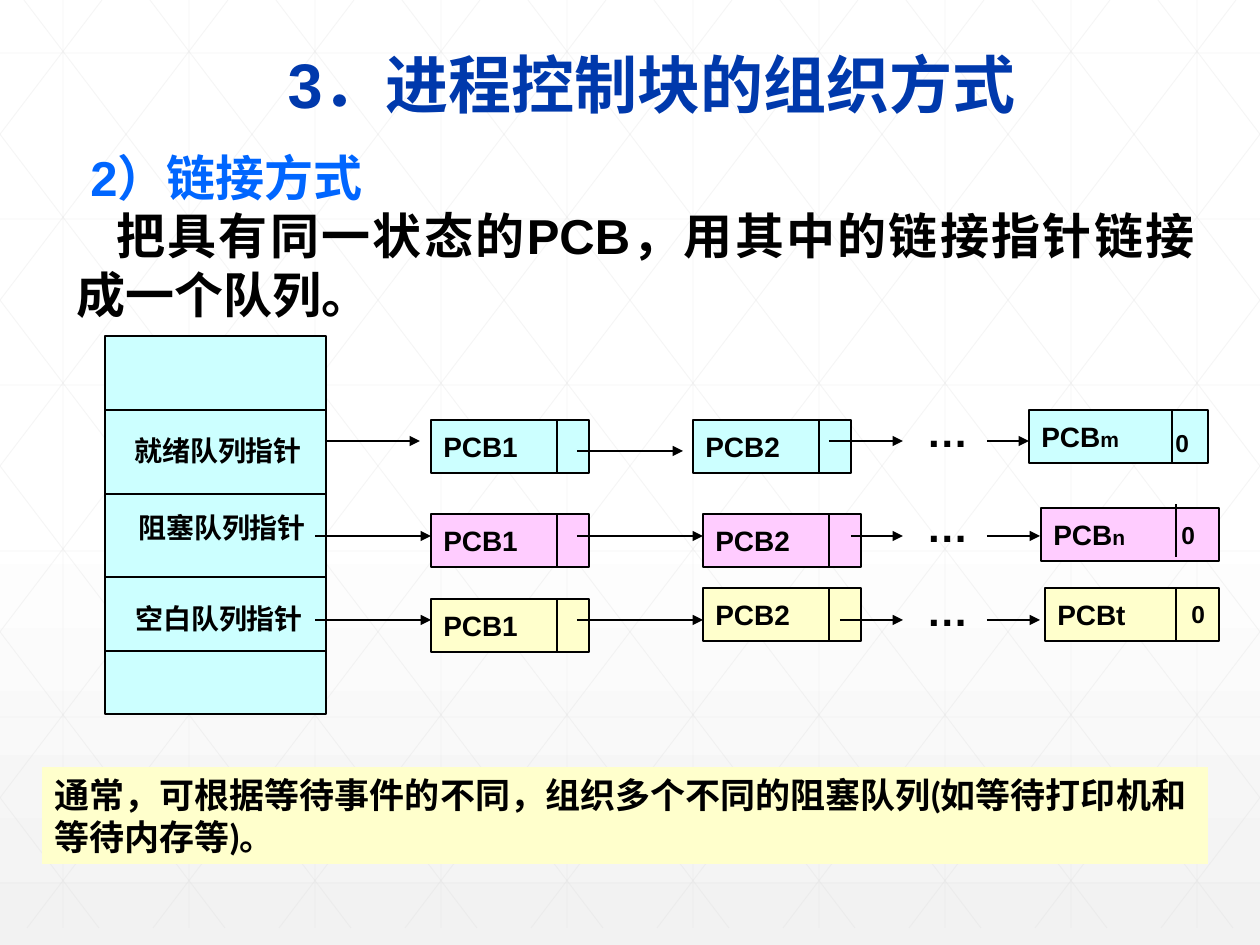
from dataclasses import dataclass

from pptx import Presentation
from pptx.dml.color import RGBColor
from pptx.enum.shapes import MSO_CONNECTOR, MSO_SHAPE
from pptx.enum.text import MSO_ANCHOR, MSO_AUTO_SIZE, PP_ALIGN
from pptx.oxml.ns import qn
from pptx.oxml.xmlchemy import OxmlElement
from pptx.util import Emu, Pt

EMU_PER_PX = 914400 / 126
WIDTH, HEIGHT = 1260, 945


@dataclass(frozen=True)
class Theme:
    white: str = "FFFFFF"
    backdrop: str = "F2F2F2"
    grid: str = "D9D9D9"
    ink: str = "000000"
    title: str = "0039AC"
    heading: str = "0066FF"
    cyan: str = "CCFFFF"
    pink: str = "FFCCFF"
    yellow: str = "FFFFCC"
    font: str = "Arial"
    note_font: str = "Lato"
    title_size: int = 36
    body_size: int = 28
    dots_size: int = 24
    note_size: int = 20
    label_size: int = 16
    zero_size: int = 14
    suffix_size: int = 12
    line: float = 0.75
    grid_line: float = 0.5


THEME = Theme()


@dataclass(frozen=True)
class Queue:
    pointer: str
    pointer_at: tuple
    color: str
    first_at: tuple
    second_at: tuple
    last_box: tuple
    last_suffix: str
    suffix_size: int
    last_divider: tuple
    zero_at: tuple
    arrow_y: int
    second_arrow_y: int
    arrows: tuple  # start and end of each link, left to right


QUEUES = (
    Queue("就绪队列指针", (122, 427), THEME.cyan, (431, 420), (693, 420),
          (1029, 410, 179, 53), "m", THEME.suffix_size, (1172, 410), (1163, 422),
          441, 451, ((325, 420), (577, 683), (829, 903), (987, 1029))),
    Queue("阻塞队列指针", (126, 504), THEME.pink, (431, 514), (703, 514),
          (1041, 508, 178, 53), "n", THEME.suffix_size, (1176, 504), (1169, 514),
          536, 536, ((315, 431), (577, 703), (851, 903), (987, 1040))),
    Queue("空白队列指针", (123, 595), THEME.yellow, (431, 599), (703, 588),
          (1045, 588, 174, 53), "t", THEME.label_size, (1176, 588), (1179, 593),
          620, 620, ((315, 431), (577, 703), (840, 903), (987, 1040))),
)


def px(*lengths):
    return [Emu(round(length * EMU_PER_PX)) for length in lengths]


def rgb(color):
    return RGBColor.from_string(color)


def write(frame, text, size=THEME.label_size, color=THEME.ink, font=THEME.font,
          align=PP_ALIGN.LEFT, indent=0, suffix="", suffix_size=THEME.label_size):
    """Fill the first paragraph of the frame, or add one after it."""
    paragraph = frame.add_paragraph() if frame.text else frame.paragraphs[0]
    paragraph.alignment = align
    if indent:
        paragraph._p.get_or_add_pPr().set("indent", str(px(indent)[0]))
    for part, points in ((text, size), (suffix, suffix_size)):
        if part:
            run = paragraph.add_run()
            run.text = part
            run.font.size = Pt(points)
            run.font.name = font
            run.font.bold = True
            run.font.color.rgb = rgb(color)


def add_label(shapes, box, text, wrap=False, **style):
    label = shapes.add_textbox(*px(*box))
    label.text_frame.word_wrap = wrap
    label.text_frame.auto_size = MSO_AUTO_SIZE.SHAPE_TO_FIT_TEXT
    write(label.text_frame, text, **style)
    return label.text_frame


def add_box(shapes, box, color, outlined=True):
    rect = shapes.add_shape(MSO_SHAPE.RECTANGLE, *px(*box))
    rect.shadow.inherit = False
    rect.fill.solid()
    rect.fill.fore_color.rgb = rgb(color)
    if outlined:
        rect.line.color.rgb = rgb(THEME.ink)
        rect.line.width = Pt(THEME.line)
    else:
        rect.line.fill.background()
    rect.text_frame.word_wrap = not outlined
    return rect.text_frame


def add_line(shapes, start, end, color=THEME.ink, width=THEME.line, arrow=False, opacity=100):
    line = shapes.add_connector(MSO_CONNECTOR.STRAIGHT, *px(*start, *end))
    line.line.color.rgb = rgb(color)
    line.line.width = Pt(width)
    properties = line._element.spPr
    if opacity < 100:
        alpha = OxmlElement("a:alpha")
        alpha.set("val", str(opacity * 1000))
        next(properties.iter(qn("a:srgbClr"))).append(alpha)
    if arrow:
        head = OxmlElement("a:tailEnd")
        head.set("type", "triangle")
        properties.find(qn("a:ln")).append(head)
    properties.append(OxmlElement("a:effectLst"))


def add_background(slide):
    fill = slide.background.fill
    fill.gradient()
    fill.gradient_angle = 270
    for stop, position, color in zip(fill.gradient_stops, (0.53, 1), (THEME.white, THEME.backdrop)):
        stop.position = position
        stop.color.rgb = rgb(color)

    # Triangular grid, kept behind the title
    grid = slide.shapes.add_group_shape()
    slide.shapes._spTree.insert(2, grid._element)
    bottom, run, step = 928, 705, 126
    lines = [((x, 0), (x, bottom)) for x in range(63, WIDTH, step)]
    lines += [((0, 53 + 166 * row), (WIDTH, 53 + 166 * row)) for row in range(6)]
    for top_x in range(24 - 5 * step, WIDTH, step):
        left, right = max(top_x, 0), min(top_x + run, WIDTH)
        y1, y2 = ((x - top_x) * bottom / run for x in (left, right))
        lines.append(((left, y1), (right, y2)))
        lines.append(((WIDTH - left, y1), (WIDTH - right, y2)))
    for start, end in lines:
        add_line(grid.shapes, start, end, THEME.grid, THEME.grid_line, opacity=25)


def add_title(slide, text):
    title = slide.shapes.title
    title.left, title.top, title.width, title.height = px(275, 39, 950, 89)
    title.text_frame.vertical_anchor = MSO_ANCHOR.TOP
    title.text_frame.auto_size = MSO_AUTO_SIZE.NONE
    write(title.text_frame, text, size=THEME.title_size, color=THEME.title)


def add_pcb(shapes, box, divider, color, text, **style):
    write(add_box(shapes, box, color), text, **style)
    x, y = divider
    add_line(shapes, (x, y), (x, y + 53))


def add_pointer_table(shapes):
    add_box(shapes, (105, 336, 221, 378), THEME.cyan)
    for y in (410, 494, 577, 651):
        add_line(shapes, (105, y), (326, y))


def add_queue(shapes, queue):
    add_label(shapes, (*queue.pointer_at, 195, 47), queue.pointer)
    for name, (x, y) in (("PCB1", queue.first_at), ("PCB2", queue.second_at)):
        add_pcb(shapes, (x, y, 158, 53), (x + 126, y), queue.color, name)
    add_pcb(shapes, queue.last_box, queue.last_divider, queue.color, "PCB",
            suffix=queue.last_suffix, suffix_size=queue.suffix_size)
    for index, (start, end) in enumerate(queue.arrows):
        y = queue.second_arrow_y if index == 1 else queue.arrow_y
        add_line(shapes, (start, y), (end, y), arrow=True)
    add_label(shapes, (914, queue.arrow_y - 42, 67, 63), "…", size=THEME.dots_size)
    add_label(shapes, (*queue.zero_at, 40, 43), "0", size=THEME.zero_size)


def main():
    deck = Presentation()
    deck.slide_width, deck.slide_height = px(WIDTH, HEIGHT)
    slide = deck.slides.add_slide(deck.slide_layouts[5])
    add_background(slide)
    add_title(slide, "3．进程控制块的组织方式")

    # Queue diagram
    diagram = slide.shapes.add_group_shape().shapes
    add_pointer_table(diagram)
    for queue in QUEUES:
        add_queue(diagram, queue)

    # Note on blocked queues
    note = add_box(slide.shapes, (42, 767, 1166, 97), THEME.yellow, outlined=False)
    write(note, "通常，可根据等待事件的不同，组织多个不同的阻塞队列(如等待打印机和等待内存等)。",
          size=THEME.note_size, font=THEME.note_font)

    # Explanation of the linked organisation
    explanation = add_label(slide.shapes, (64, 141, 1143, 190), "2）链接方式", wrap=True,
                            size=THEME.body_size, color=THEME.heading,
                            align=PP_ALIGN.JUSTIFY, indent=14)
    write(explanation, "把具有同一状态的PCB，用其中的链接指针链接成一个队列。",
          size=THEME.body_size, align=PP_ALIGN.JUSTIFY, indent=40)

    deck.save("out.pptx")


if __name__ == "__main__":
    main()
